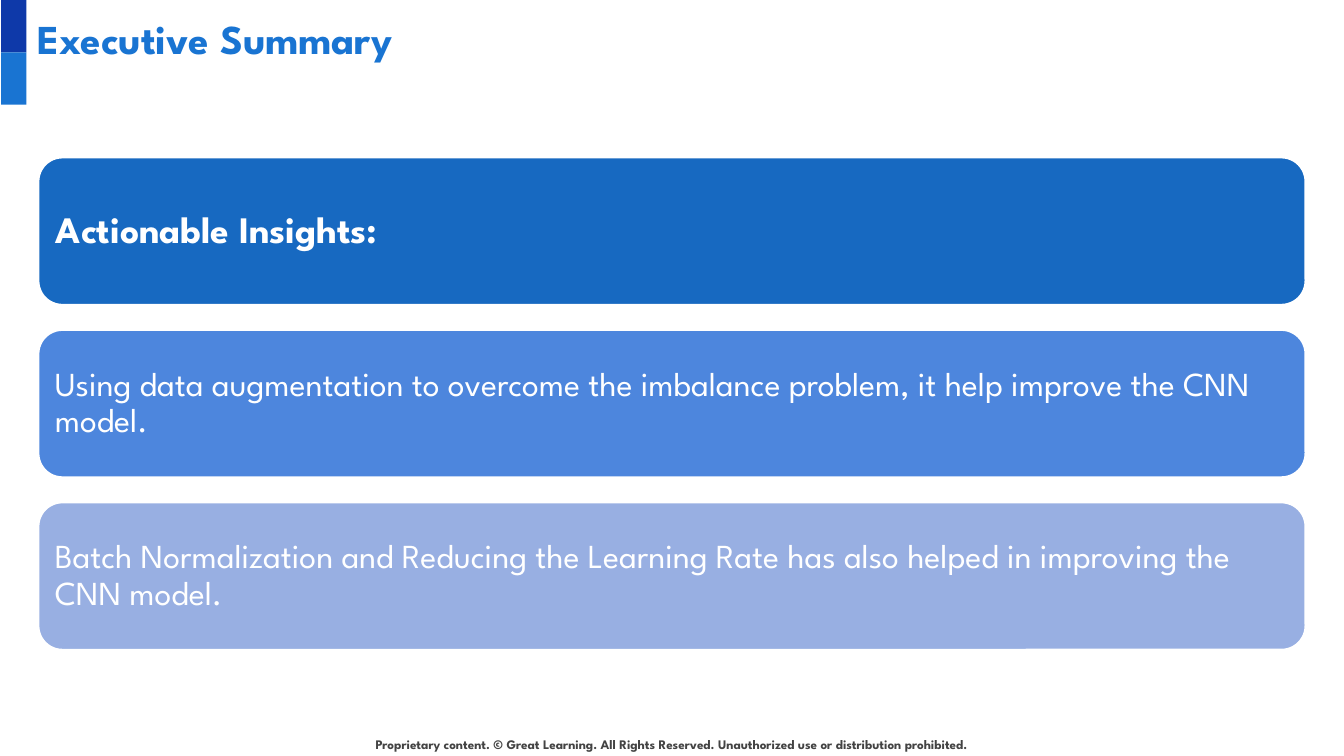
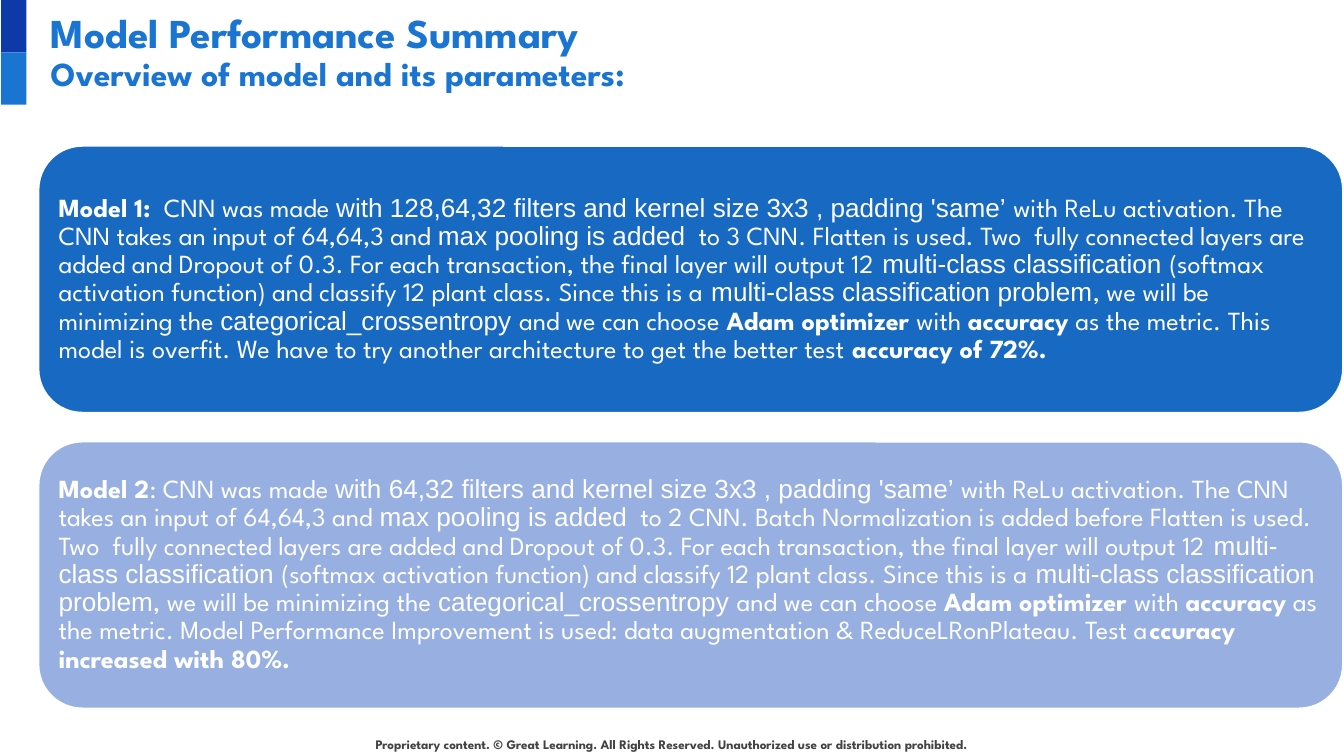
from dataclasses import dataclass
from typing import NamedTuple

from pptx import Presentation
from pptx.dml.color import RGBColor
from pptx.enum.shapes import MSO_SHAPE
from pptx.enum.text import MSO_ANCHOR, MSO_AUTO_SIZE, PP_ALIGN
from pptx.util import Cm, Pt

# Shared style
SPARTAN, ARIAL = "League Spartan", "Arial"
NAVY, BLUE, GREY, WHITE = "0E39A9", "1974D2", "434343", "FFFFFF"
DEEP, MID, PALE = "1769C1", "4D86DD", "98AFE2"
FOOTER = ("Proprietary content. © Great Learning. All Rights Reserved. "
          "Unauthorized use or distribution prohibited.")


class Run(NamedTuple):
    text: str
    bold: bool = False
    font: str = SPARTAN


class Box(NamedTuple):
    """Left, top, width and height in centimetres."""
    left: float
    top: float
    width: float
    height: float

    def lengths(self) -> tuple:
        return tuple(Cm(v) for v in self)


@dataclass
class Card:
    fill: str
    runs: list[Run]
    size: float
    inset: float


def rgb(color: str) -> RGBColor:
    return RGBColor.from_string(color)


def write(tf, runs: list[Run], *, size: float, color: str, inset: float = 0.25,
          anchor=MSO_ANCHOR.TOP, align=PP_ALIGN.LEFT, spacing: float = 1.0) -> None:
    tf.word_wrap = True
    tf.auto_size = MSO_AUTO_SIZE.NONE
    tf.vertical_anchor = anchor
    tf.margin_left = tf.margin_right = tf.margin_top = tf.margin_bottom = Cm(inset)
    p = tf.paragraphs[0]
    p.alignment = align
    p.line_spacing = spacing
    p.space_before = Pt(0)
    for run in runs:
        r = p.add_run()
        r.text = run.text
        r.font.name, r.font.size, r.font.bold = run.font, Pt(size), run.bold
        r.font.color.rgb = rgb(color)


def add_text(s, box: Box, text: str, **style) -> None:
    tb = s.shapes.add_textbox(*box.lengths())
    write(tb.text_frame, [Run(text, bold=True)], **style)


def add_block(s, kind, box: Box, fill: str):
    sp = s.shapes.add_shape(kind, *box.lengths())
    sp.shadow.inherit = False
    sp.fill.solid()
    sp.fill.fore_color.rgb = rgb(fill)
    sp.line.fill.background()
    return sp


def add_slide(prs, title: str, title_box: Box):
    s = prs.slides.add_slide(prs.slide_layouts[5])
    # Footer and corner band
    add_text(s, Box(6.2, 13.67, 12.98, 0.76), FOOTER, size=7, color=GREY,
             align=PP_ALIGN.CENTER, spacing=1.02)
    for i, fill in enumerate((NAVY, BLUE)):
        add_block(s, MSO_SHAPE.RECTANGLE, Box(0.02, i * 0.99, 0.48, 0.99), fill)
    # Title
    sp = s.shapes.title
    sp.left, sp.top, sp.width, sp.height = title_box.lengths()
    write(sp.text_frame, [Run(title, bold=True)], size=22, color=BLUE)
    return s


def add_cards(s, cards: list[Card], first: Box, pitch: float) -> None:
    for i, card in enumerate(cards):
        box = first._replace(top=first.top + i * pitch)
        sp = add_block(s, MSO_SHAPE.ROUNDED_RECTANGLE, box, card.fill)
        sp.line.color.rgb = rgb(WHITE)
        sp.line.width = Pt(2)
        write(sp.text_frame, card.runs, size=card.size, color=WHITE,
              inset=card.inset, anchor=MSO_ANCHOR.MIDDLE, spacing=0.9)


def model_runs(name: str, lead: str, filters: str, layers: str,
               remark: str, result: str) -> list[Run]:
    """The description both models share, with their own details filled in."""
    return [
        Run(name, bold=True),
        Run(f"{lead}CNN was made "),
        Run(f"with {filters} filters and kernel size 3x3 , padding 'same’ ", font=ARIAL),
        Run("with ReLu activation. The CNN takes an input of 64,64,3 and "),
        Run("max pooling is added", font=ARIAL),
        Run(f"  to {layers} is used. Two  fully connected layers are added and "
            "Dropout of 0.3. For each transaction, the final layer will output 12"),
        Run(" multi-class classification ", font=ARIAL),
        Run("(softmax activation function) and classify 12 plant class. Since this is a"),
        Run(" multi-class classification problem", font=ARIAL),
        Run(", we will be minimizing the "),
        Run("categorical_crossentropy ", font=ARIAL),
        Run("and we can choose "),
        Run("Adam optimizer ", bold=True),
        Run("with "),
        Run("accuracy", bold=True),
        Run(f" as the metric. {remark}"),
        Run(result, bold=True),
    ]


def executive_summary(prs) -> None:
    s = add_slide(prs, "Executive Summary", Box(0.46, 0, 23.67, 1.6))
    add_cards(s, [
        Card(DEEP, [Run("Actionable Insights:", bold=True)], 20, 0.21),
        Card(MID, [Run("Using data augmentation to overcome the imbalance problem, "
                       "it help improve the CNN model.")], 18, 0.19),
        Card(PALE, [Run("Batch Normalization and Reducing the Learning Rate has also "
                        "helped in improving the CNN model.")], 18, 0.19),
    ], Box(0.71, 2.96, 23.98, 2.82), pitch=3.26)


def model_performance(prs) -> None:
    s = add_slide(prs, "Model Performance Summary", Box(0.71, 0, 23.67, 0.3))
    model_1 = model_runs(
        "Model 1: ", " ", "128,64,32", "3 CNN. Flatten",
        "This model is overfit. We have to try another architecture "
        "to get the better test ", "accuracy of 72%.")
    model_2 = model_runs(
        "Model 2", ": ", "64,32",
        "2 CNN. Batch Normalization is added before Flatten",
        "Model Performance Improvement is used: data augmentation & "
        "ReduceLRonPlateau. Test a", "ccuracy increased with 80%.")
    add_cards(s, [Card(DEEP, model_1, 14, 0.15), Card(PALE, model_2, 14, 0.15)],
              Box(0.71, 2.74, 24.69, 5.08), pitch=5.59)
    # Subtitle
    add_text(s, Box(0.71, 0.76, 21.06, 0.84), "Overview of model and its parameters:",
             size=18, color=BLUE)


def main() -> None:
    prs = Presentation()
    prs.slide_width, prs.slide_height = Cm(25.4), Cm(14.29)
    executive_summary(prs)
    model_performance(prs)
    prs.save("out.pptx")


if __name__ == "__main__":
    main()
